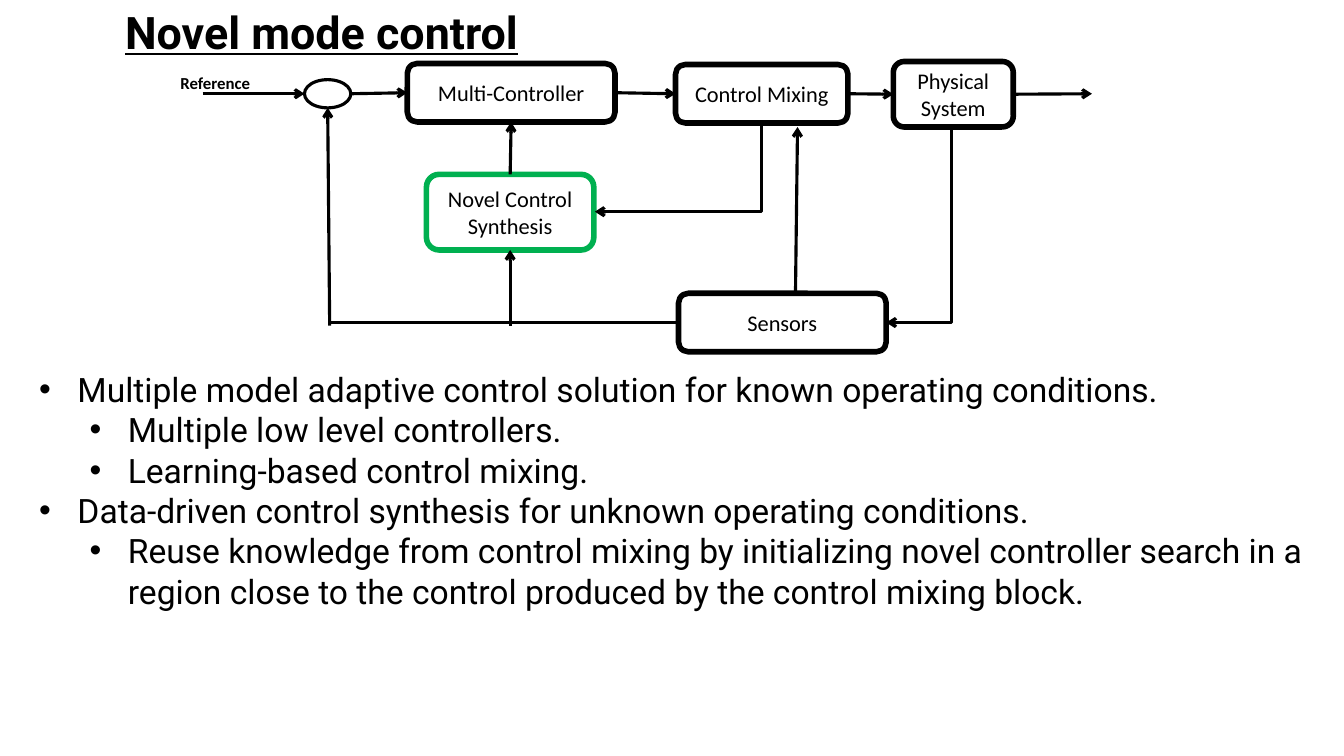
from lxml.etree import SubElement as Sub
from pptx import Presentation
from pptx.dml.color import RGBColor
from pptx.enum.shapes import MSO_CONNECTOR as Link, MSO_SHAPE as Kind
from pptx.enum.text import MSO_ANCHOR as Anchor, MSO_AUTO_SIZE as Fit, PP_ALIGN as Align
from pptx.oxml.ns import qn
from pptx.util import Inches, Pt

CELL = Inches(0.1)
INK = "000000"
GREEN = "00B050"

NODES = {
    "Multi-Controller": (23.4, 0.3, 20.6, 5.8, INK),
    "Control Mixing": (50, 0.4, 17.1, 5.8, INK),
    "Physical System": (71.6, 0.1, 11.9, 6.5, INK),
    "Novel Control Synthesis": (25.3, 11.3, 16.6, 7.5, GREEN),
    "Sensors": (50.3, 23.1, 20.6, 5.8, INK),
}

POINTS = [
    (0, "Multiple model adaptive control solution for known operating conditions."),
    (1, "Multiple low level controllers."),
    (1, "Learning-based control mixing."),
    (0, "Data-driven control synthesis for unknown operating conditions."),
    (1, "Reuse knowledge from control mixing by initializing novel controller search "
        "in a region close to the control produced by the control mixing block."),
]


def color(code):
    return RGBColor.from_string(code)


def cells(*counts):
    return [round(n * CELL) for n in counts]


def style(par, face, size, bold=False):
    font = par.font
    font.name, font.size, font.bold = face, Pt(size), bold
    font.color.rgb = color(INK)


def outline(shape, code, width):
    shape.line.color.rgb = color(code)
    shape.line.width = Pt(width)


def draw(shapes, kind, area, code, width):
    shape = shapes.add_shape(kind, *cells(*area))
    shape.shadow.inherit = False
    shape.fill.background()
    outline(shape, code, width)
    return shape


def node(shapes, text, area, code):
    shape = draw(shapes, Kind.ROUNDED_RECTANGLE, area, code, 4)
    frame = shape.text_frame
    frame.word_wrap = True
    frame.vertical_anchor = Anchor.MIDDLE
    par = frame.paragraphs[0]
    par.text = text
    par.alignment = Align.CENTER
    style(par, "Calibri", 16)
    return shape


def wire(shapes, start, end, tail=None, head=None, arrow=True, kind=Link.STRAIGHT):
    line = shapes.add_connector(kind, *cells(*start, *end))
    outline(line, INK, 2.25)
    if tail:
        line.begin_connect(*tail)
    if head:
        line.end_connect(*head)
    if arrow:
        Sub(line.line._get_or_add_ln(), qn("a:tailEnd"), type="arrow")
    Sub(line._element.spPr, qn("a:effectLst"))
    return line


def elbow(shapes, start, end):
    (x, y), (u, v) = start, end
    mid, row = (x + u) / 2, (y + v) / 2
    dx, dy = (v - y) / 2, (x - u) / 2
    line = wire(shapes, (mid - dx, row - dy), (mid + dx, row + dy), kind=Link.ELBOW)
    props = line._element.spPr
    props.find(qn("a:xfrm")).set("rot", "5400000")
    props.find(qn("a:prstGeom")).set("prst", "bentConnector2")


def heading(title, box):
    title.left, title.top, title.width, title.height = cells(*box)
    frame = title.text_frame
    frame.auto_size = Fit.NONE
    frame.vertical_anchor = Anchor.TOP
    par = frame.paragraphs[0]
    par.text = "Novel mode control"
    par.alignment = Align.LEFT
    style(par, "Roboto", 32, True)
    par.font.underline = True


def diagram(shapes, box):
    left, top = box

    def at(x, y):
        return left + x, top + y

    made = {}
    for name, (x, y, wide, high, code) in NODES.items():
        made[name] = node(shapes, name, (*at(x, y), wide, high), code)
    multi, mix, plant, synth, sense = made.values()
    draw(shapes, Kind.OVAL, (*at(13.2, 1.9), 4.6, 2.8), INK, 2.25)

    label = shapes.add_textbox(*cells(*at(-0.1, 0.7), 12.5, 3))
    label.text_frame.word_wrap = True
    par = label.text_frame.paragraphs[0]
    par.text = "Reference"
    style(par, "Calibri", 12, True)

    wire(shapes, at(3.1, 3.3), at(13.2, 3.3))
    wire(shapes, at(17.8, 3.3), at(23.4, 3.3), head=(multi, 1))
    wire(shapes, at(44, 3.3), at(50, 3.3), (multi, 3), (mix, 1))
    wire(shapes, at(67.1, 3.3), at(71.6, 3.3), (mix, 3), (plant, 1))
    wire(shapes, at(83.5, 3.3), at(91.3, 3.3), (plant, 3))
    wire(shapes, at(33.6, 11.3), at(33.6, 6.1), (synth, 0), (multi, 2))
    wire(shapes, at(33.6, 26.3), at(33.6, 18.8), head=(synth, 2))
    wire(shapes, at(50.3, 26), at(15.7, 26), (sense, 1), arrow=False)
    wire(shapes, at(15.7, 26.3), at(15.5, 4.7))
    wire(shapes, at(61.9, 23), at(62.1, 6.6))
    elbow(shapes, at(58.5, 6.2), at(42, 15))
    elbow(shapes, at(77.4, 6.5), at(70.9, 26))


def bullets(shapes, box):
    frame = shapes.add_textbox(*cells(*box)).text_frame
    frame.word_wrap = True
    for i, (level, text) in enumerate(POINTS):
        par = frame.add_paragraph() if i else frame.paragraphs[0]
        par.text = text
        par.level = level
        props = par._p.get_or_add_pPr()
        props.set("marL", str(Inches(0.38 + 0.5 * level)))
        props.set("indent", str(-Inches(0.38)))
        Sub(props, qn("a:buFont"), typeface="Arial")
        Sub(props, qn("a:buChar"), char="•")
        style(par, "Roboto", 24)


def main():
    deck = Presentation()
    deck.slide_width, deck.slide_height = Inches(13.33), Inches(7.5)
    slide = deck.slides.add_slide(deck.slide_layouts[5])
    heading(slide.shapes.title, (11.4, 0, 100, 6.8))
    diagram(slide.shapes, (17, 6))
    bullets(slide.shapes, (2.9, 36.1, 127.4, 34.6))
    deck.save("out.pptx")


if __name__ == "__main__":
    main()
